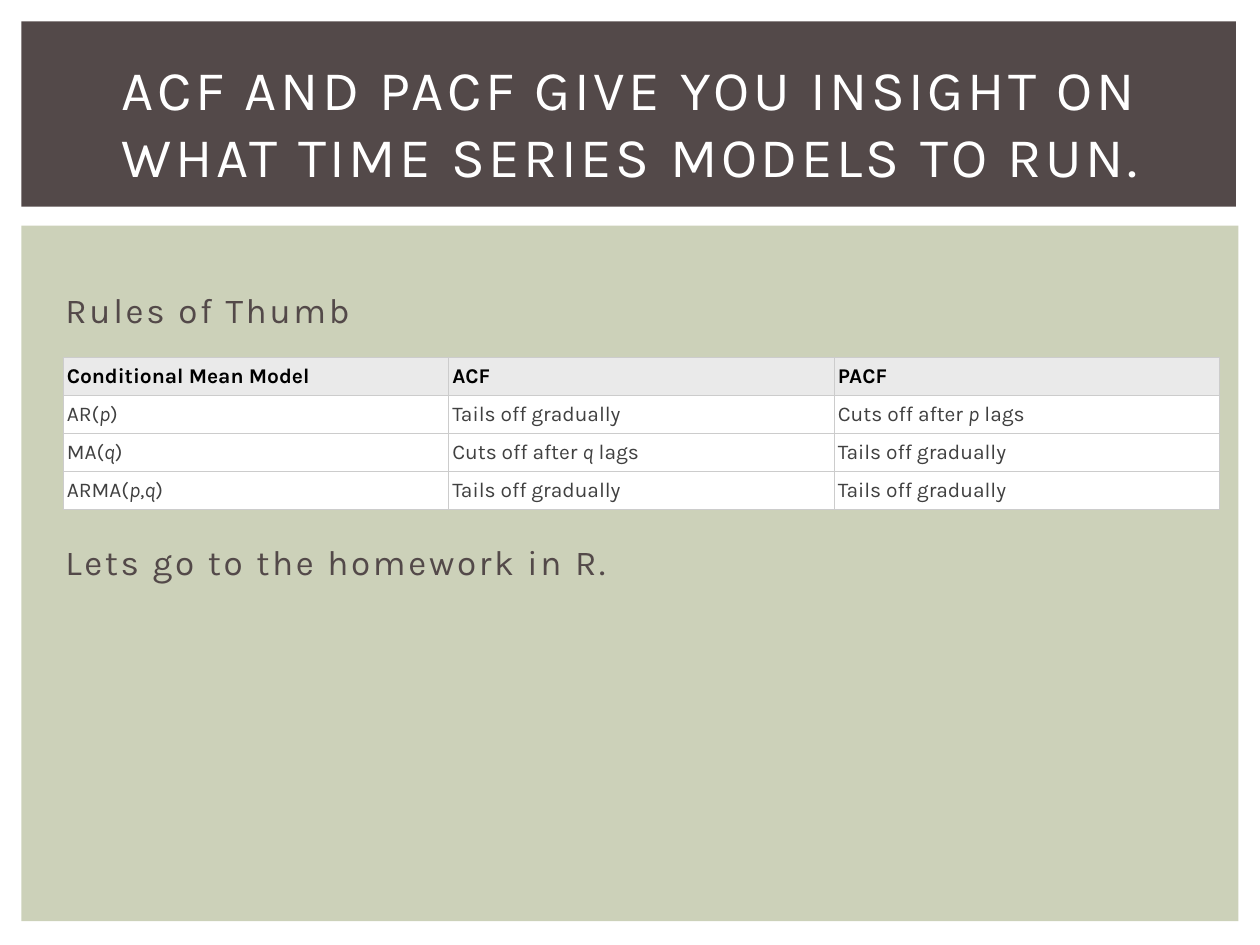
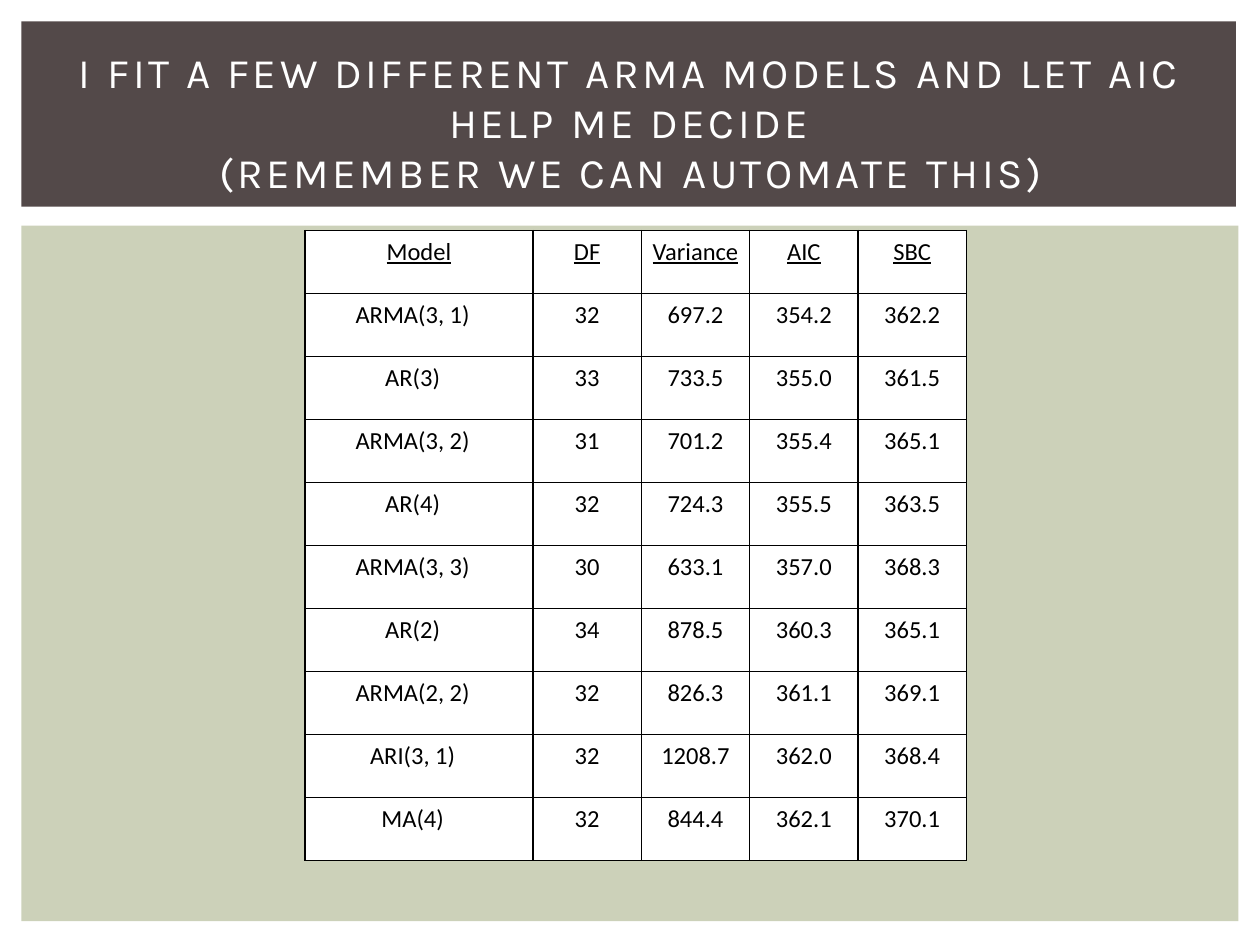
from lxml import etree
from pptx import Presentation
from pptx import util as u
from pptx.dml.color import RGBColor
from pptx.enum import shapes, text
from pptx.oxml import ns

WHITE = RGBColor(0xFF, 0xFF, 0xFF)
BLACK = RGBColor(0, 0, 0)
BROWN = RGBColor(0x53, 0x49, 0x49)
SAGE = RGBColor(0xCC, 0xD1, 0xB9)
PALE = RGBColor(0xEA, 0xEA, 0xEA)
RULE = RGBColor(0xCC, 0xCC, 0xCC)
GREY = RGBColor(0x40, 0x40, 0x40)
FONT = "Karla"

# Lines of each title; text between asterisks is italic in the tables.
RULES_TITLE = ["ACF AND PACF GIVE YOU INSIGHT ON WHAT TIME SERIES MODELS TO RUN."]
RULES_TEXT = ["Rules of Thumb", "Lets go to the homework in R."]
RULES = [
    ("Conditional Mean Model", "ACF", "PACF"),
    ("AR(*p*)", "Tails off gradually", "Cuts off after *p* lags"),
    ("MA(*q*)", "Cuts off after *q* lags", "Tails off gradually"),
    ("ARMA(*p*,*q*)", "Tails off gradually", "Tails off gradually"),
]
FITS_TITLE = [
    "I FIT A FEW DIFFERENT ARMA MODELS AND LET AIC HELP ME DECIDE",
    "(REMEMBER WE CAN AUTOMATE THIS)",
]
FITS = [
    ("Model", "DF", "Variance", "AIC", "SBC"),
    ("ARMA(3, 1)", "32", "697.2", "354.2", "362.2"),
    ("AR(3)", "33", "733.5", "355.0", "361.5"),
    ("ARMA(3, 2)", "31", "701.2", "355.4", "365.1"),
    ("AR(4)", "32", "724.3", "355.5", "363.5"),
    ("ARMA(3, 3)", "30", "633.1", "357.0", "368.3"),
    ("AR(2)", "34", "878.5", "360.3", "365.1"),
    ("ARMA(2, 2)", "32", "826.3", "361.1", "369.1"),
    ("ARI(3, 1)", "32", "1208.7", "362.0", "368.4"),
    ("MA(4)", "32", "844.4", "362.1", "370.1"),
]

BANDS = [((0.17, 1.79, 9.66, 5.52), SAGE), ((0.17, 0.17, 9.64, 1.47), BROWN)]
TITLE_BOX = (0.42, 0.39, 9.17, 1.15)


def inch(box):
    return [u.Inches(n) for n in box]


def add_run(para, words, size, color, font=FONT, track=0):
    """Add one run; track is the letter spacing in points."""
    run = para.add_run()
    run.text = words
    run.font.size = u.Pt(size)
    run.font.name = font
    run.font.color.rgb = color
    if track:
        run.font._element.set("spc", str(int(track * 100)))
    return run


def add_page(deck, lines, size):
    """Add a slide with the two bands and its title."""
    page = deck.slides.add_slide(deck.slide_layouts[5])
    title = page.shapes.title
    for box, color in BANDS:
        band = page.shapes.add_shape(shapes.MSO_SHAPE.RECTANGLE, *inch(box))
        band.shadow.inherit = False
        band.fill.solid()
        band.fill.fore_color.rgb = color
        band.line.fill.background()
        title.element.addprevious(band.element)
    title.left, title.top, title.width, title.height = inch(TITLE_BOX)
    frame = title.text_frame
    frame.word_wrap = True
    frame.auto_size = text.MSO_AUTO_SIZE.NONE
    frame.vertical_anchor = text.MSO_ANCHOR.MIDDLE
    para = frame.paragraphs[0]
    para.alignment = text.PP_ALIGN.CENTER
    for n, line in enumerate(lines):
        if n:
            para.add_line_break()
        add_run(para, line, size, WHITE, track=2)
    return page


def add_edges(cell, color, width):
    props = cell._tc.get_or_add_tcPr()
    for side in "LRTB":
        edge = etree.SubElement(props, ns.qn(f"a:ln{side}"), w=str(u.Pt(width)))
        fill = etree.SubElement(edge, ns.qn("a:solidFill"))
        etree.SubElement(fill, ns.qn("a:srgbClr"), val=str(color))


def add_grid(page, rows, spot, cols, high, edge, width, pad, style):
    """Add a table; style(cell, row, col) gives the cell's fill and returns a run maker."""
    box = inch((*spot, sum(cols), high * len(rows)))
    table = page.shapes.add_table(len(rows), len(cols), *box).table
    table.first_row = table.horz_banding = False
    for col, wide in zip(table.columns, cols):
        col.width = u.Inches(wide)
    for r, row in enumerate(rows):
        table.rows[r].height = u.Inches(high)
        for c, words in enumerate(row):
            cell = table.cell(r, c)
            cell.margin_left = cell.margin_right = u.Inches(pad)
            cell.margin_top = cell.margin_bottom = u.Inches(0.05)
            add_edges(cell, edge, width)
            cell.fill.solid()
            cell.fill.fore_color.rgb = WHITE
            style(cell, words, r == 0, c == 0)


def rule_cell(cell, words, head, first):
    if head:
        cell.fill.fore_color.rgb = PALE
    para = cell.text_frame.paragraphs[0]
    for n, part in enumerate(words.split("*")):
        run = add_run(para, part, 12, BLACK if head else GREY)
        run.font.bold = head
        run.font.italic = n % 2 == 1


def fit_cell(cell, words, head, first):
    if first and not head:
        cell.margin_right = u.Inches(0.11)
    para = cell.text_frame.paragraphs[0]
    para.alignment = text.PP_ALIGN.CENTER
    run = add_run(para, words, 14, BLACK, "Calibri")
    run.font.underline = head


def add_rules(deck):
    page = add_page(deck, RULES_TITLE, 32)
    frame = page.shapes.add_textbox(*inch((0.42, 2.24, 9.19, 4.46))).text_frame
    frame.word_wrap = True
    for n, line in enumerate(RULES_TEXT):
        para = frame.add_paragraph() if n else frame.paragraphs[0]
        if n:
            para.space_before = u.Pt(120)  # room for the table
        add_run(para, line, 20, BROWN, track=1.5)
    add_grid(page, RULES, (0.5, 2.84), [3.06] * 3, 0.29, RULE, 0.57, 0.03, rule_cell)


def add_fits(deck):
    page = add_page(deck, FITS_TITLE, 24)
    cols = [1.81] + [0.86] * 4
    add_grid(page, FITS, (2.42, 1.83), cols, 0.5, BLACK, 1, 0.01, fit_cell)


def main():
    deck = Presentation()
    deck.slide_width, deck.slide_height = inch((10, 7.5))
    add_rules(deck)
    add_fits(deck)
    deck.save("out.pptx")


if __name__ == "__main__":
    main()
